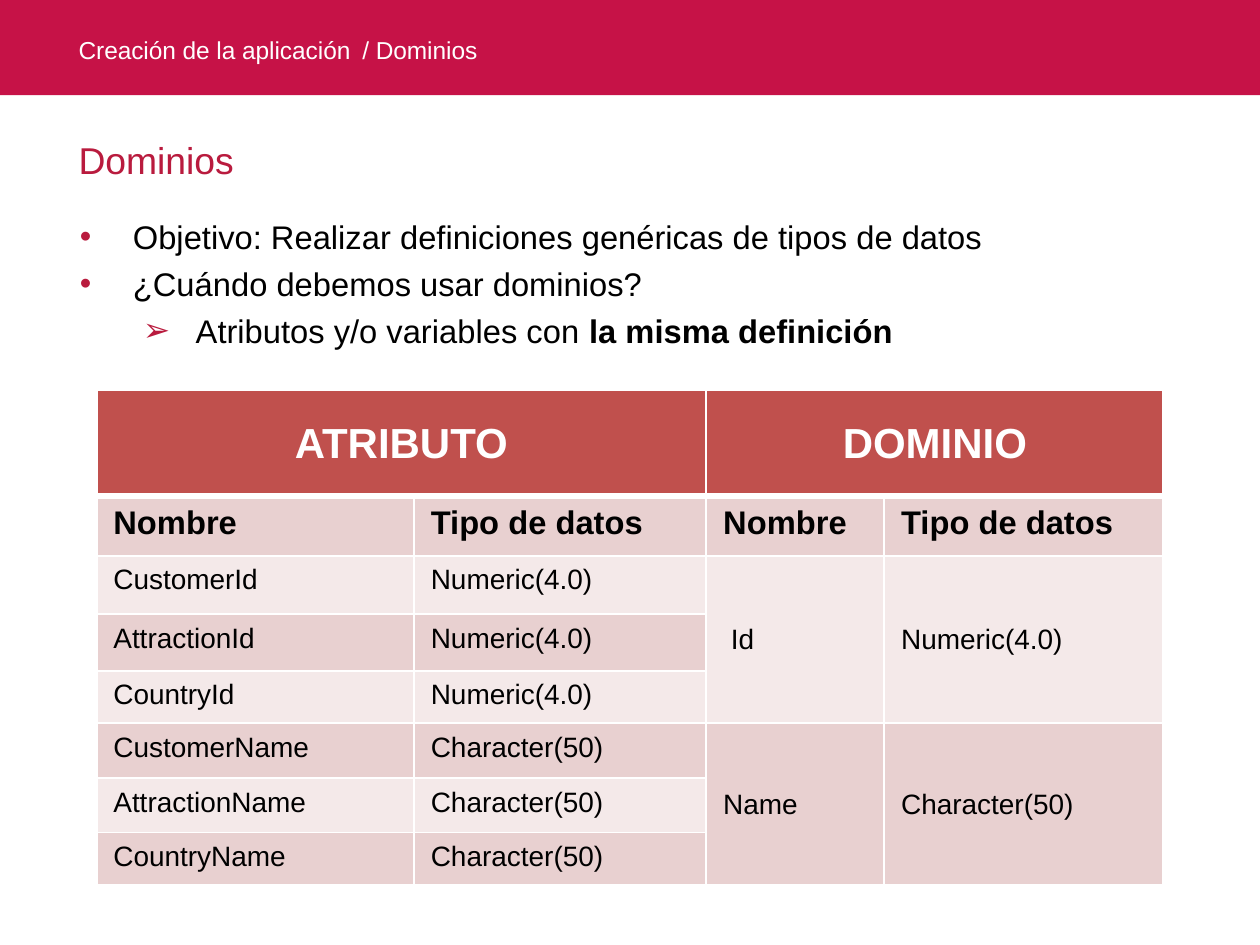
import pptx
import pptx.util
import pptx.dml.color
import pptx.enum.shapes
import pptx.enum.text
import pptx.oxml
import pptx.oxml.ns
from lxml import etree

Cm = pptx.util.Cm
Pt = pptx.util.Pt
ANCHOR = pptx.enum.text.MSO_ANCHOR
COLORS = {
    "band": "C61247",
    "accent": "B91B3E",
    "header": "C0504D",
    "dark_row": "E8D0D0",
    "light_row": "F4E9E9",
    "white": "FFFFFF",
    "black": "000000",
}


def style(paragraph, size, color, bold=False):
    paragraph.font.name = "Arial"
    paragraph.font.size = Pt(size)
    paragraph.font.bold = bold
    paragraph.font.color.rgb = pptx.dml.color.RGBColor.from_string(COLORS[color])


def add_text(left, top, width, height, lines, size, color, anchor=ANCHOR.TOP):
    frame = slide.shapes.add_textbox(Cm(left), Cm(top), Cm(width), Cm(height)).text_frame
    frame.word_wrap = True
    frame.vertical_anchor = anchor
    frame.text = "\n".join(lines)
    for paragraph in frame.paragraphs:
        style(paragraph, size, color)
    return frame


presentation = pptx.Presentation()
presentation.slide_width = Cm(19.05)
presentation.slide_height = Cm(14.28)
slide = presentation.slides.add_slide(presentation.slide_layouts[6])

band = slide.shapes.add_shape(
    pptx.enum.shapes.MSO_SHAPE.RECTANGLE, 0, 0, presentation.slide_width, Cm(1.44)
)
band.shadow.inherit = False
band.fill.solid()
band.fill.fore_color.rgb = pptx.dml.color.RGBColor.from_string(COLORS["band"])
band.line.fill.background()

for left, width, crumb in [(0.94, 5.03, "Creación de la aplicación"), (5.23, 5.74, "/ Dominios")]:
    add_text(left, 0.41, width, 0.76, [crumb], 10.5, "white")

add_text(0.94, 1.22, 17.15, 2.39, ["Dominios"], 16, "accent", ANCHOR.MIDDLE)

goals = add_text(
    0.96, 3.15, 17.15, 2.6,
    [
        "Objetivo: Realizar definiciones genéricas de tipos de datos",
        "¿Cuándo debemos usar dominios?",
        "Atributos y/o variables con ",
    ],
    14, "black",
)
emphasis = goals.paragraphs[2].add_run()
emphasis.text = "la misma definición"
emphasis.font.bold = True
for goal, bullet, indent in zip(goals.paragraphs, "••➢", (0.8, 0.8, 1.75)):
    goal.space_before = Pt(3.4)
    properties = goal._p.get_or_add_pPr()
    properties.set("marL", str(Cm(indent)))
    properties.set("indent", str(-Cm(0.8)))
    bullet_color = etree.SubElement(properties, pptx.oxml.ns.qn("a:buClr"))
    etree.SubElement(bullet_color, pptx.oxml.ns.qn("a:srgbClr"), val=COLORS["accent"])
    etree.SubElement(properties, pptx.oxml.ns.qn("a:buFont"), typeface="Arial")
    etree.SubElement(properties, pptx.oxml.ns.qn("a:buChar"), char=bullet)
    properties.append(properties.find(pptx.oxml.ns.qn("a:defRPr")))

rows = [
    ["ATRIBUTO", "", "DOMINIO", ""],
    ["Nombre", "Tipo de datos", "Nombre", "Tipo de datos"],
    ["CustomerId", "Numeric(4.0)", " Id", "Numeric(4.0)"],
    ["AttractionId", "Numeric(4.0)", "", ""],
    ["CountryId", "Numeric(4.0)", "", ""],
    ["CustomerName", "Character(50)", "Name", "Character(50)"],
    ["AttractionName", "Character(50)", "", ""],
    ["CountryName", "Character(50)", "", ""],
]
column_widths = [4.8, 4.42, 2.69, 4.22]
row_heights = [1.6, 0.9, 0.88, 0.86, 0.79, 0.83, 0.82, 0.8]
domains = slide.shapes.add_table(
    len(rows), len(column_widths), Cm(1.46), Cm(5.9), Cm(sum(column_widths)), Cm(sum(row_heights))
).table
for column, width in zip(domains.columns, column_widths):
    column.width = Cm(width)
for row, height in zip(domains.rows, row_heights):
    row.height = Cm(height)

for r, row in enumerate(rows):
    for c, text in enumerate(row):
        cell = domains.cell(r, c)
        cell.text = text
        paragraph = cell.text_frame.paragraphs[0]
        if r == 0:
            style(paragraph, 18, "white", True)
            paragraph.alignment = pptx.enum.text.PP_ALIGN.CENTER
        else:
            style(paragraph, 14 if r == 1 else 12, "black", r == 1)
        if r == 0 or (r > 1 and c > 1):
            cell.vertical_anchor = ANCHOR.MIDDLE
        fill = "header" if r == 0 else "dark_row" if r % 2 else "light_row"
        cell.fill.solid()
        cell.fill.fore_color.rgb = pptx.dml.color.RGBColor.from_string(COLORS[fill])
        for i, side in enumerate("LRTB"):
            thick = (r, side) in [(0, "B"), (1, "T")]
            border = pptx.oxml.parse_xml(
                f'<a:ln{side} {pptx.oxml.ns.nsdecls("a")} w="{Pt(3 if thick else 1)}">'
                f'<a:solidFill><a:srgbClr val="{COLORS["white"]}"/></a:solidFill></a:ln{side}>'
            )
            cell._tc.get_or_add_tcPr().insert(i, border)

for c in (0, 2):
    domains.cell(0, c).merge(domains.cell(0, c + 1))
for r in (2, 5):
    for c in (2, 3):
        domains.cell(r, c).merge(domains.cell(r + 2, c))

presentation.save("out.pptx")
